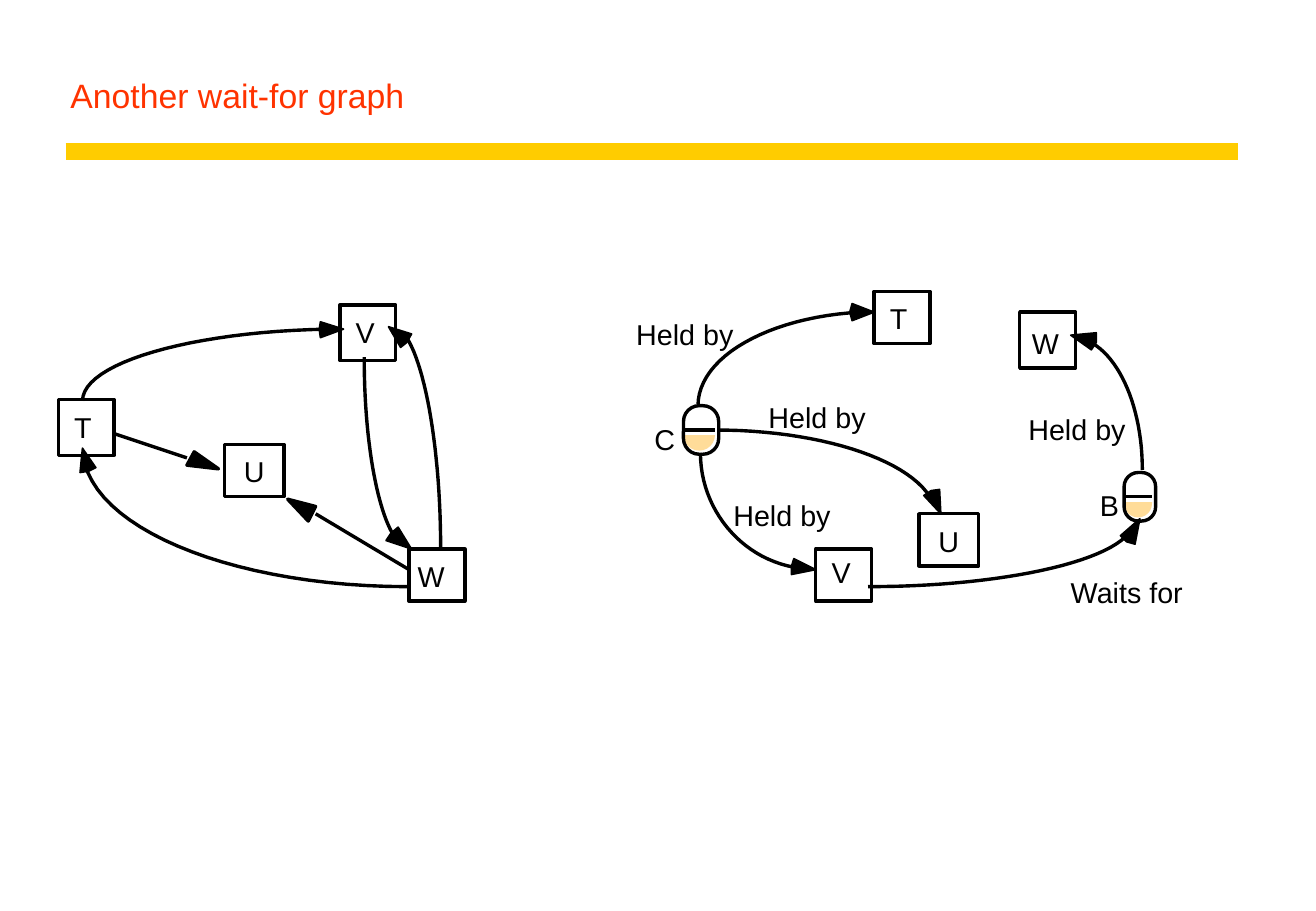
from dataclasses import dataclass

from lxml import etree
from pptx import Presentation
from pptx.dml.color import RGBColor
from pptx.enum.shapes import MSO_CONNECTOR, MSO_SHAPE
from pptx.enum.text import MSO_ANCHOR, MSO_AUTO_SIZE, PP_ALIGN
from pptx.oxml.ns import qn
from pptx.util import Inches, Pt

RECTANGLE = MSO_SHAPE.RECTANGLE
ROUNDED = MSO_SHAPE.ROUNDED_RECTANGLE
STRAIGHT = MSO_CONNECTOR.STRAIGHT
LEFT = PP_ALIGN.LEFT
TOP, BOTTOM = MSO_ANCHOR.TOP, MSO_ANCHOR.BOTTOM
GROW = MSO_AUTO_SIZE.SHAPE_TO_FIT_TEXT

COLOURS = {"ink": "000000", "paper": "FFFFFF", "title": "FF3300",
           "rule": "FFCC00", "resource": "FFDC99"}
FONT = "Arial"
LINE_WIDTH = 2
CURVE_STEPS = 24

Point = tuple[float, float]


@dataclass
class Node:
    left: float
    top: float
    width: float
    height: float


@dataclass
class Label:
    text: str
    left: float
    top: float
    width: float


@dataclass
class Resource:
    left: float
    top: float
    width: float


@dataclass
class Arrow:
    """A shaft of two end points or four Bezier points, and a head outline ending at its tip."""
    shaft: list[Point]
    head: list[Point]


NODES = [
    Node(0.48, 3.29, 0.46, 0.46), Node(1.85, 3.66, 0.49, 0.43),
    Node(2.8, 2.51, 0.46, 0.46), Node(3.37, 4.52, 0.46, 0.43),
    Node(7.2, 2.4, 0.46, 0.43), Node(7.57, 4.23, 0.49, 0.43),
    Node(6.72, 4.52, 0.46, 0.43), Node(8.4, 2.57, 0.46, 0.46),
]
LABELS = [
    Label("T", 0.61, 3.37, 0.15), Label("U", 2.01, 3.74, 0.17),
    Label("V", 2.93, 2.59, 0.16), Label("W", 3.44, 4.6, 0.22),
    Label("T", 7.33, 2.48, 0.15), Label("U", 7.73, 4.31, 0.17),
    Label("V", 6.85, 4.57, 0.16), Label("W", 8.5, 2.68, 0.22),
    Label("C", 5.39, 3.47, 0.17), Label("B", 9.06, 4.02, 0.16),
    Label("Held by", 5.24, 2.61, 0.82), Label("Held by", 6.33, 3.29, 0.82),
    Label("Held by", 6.04, 4.1, 0.82), Label("Held by", 8.47, 3.39, 0.82),
    Label("Waits for", 8.82, 4.73, 0.94),
]
RESOURCES = [Resource(5.63, 3.34, 0.29), Resource(9.26, 3.89, 0.26)]
ARROWS = [
    Arrow([(0.68, 3.3), (0.68, 2.99), (1.57, 2.73), (2.7, 2.71)],
          [(2.64, 2.78), (2.63, 2.71), (2.64, 2.65), (2.83, 2.71)]),
    Arrow([(3.36, 4.83), (2, 4.83), (0.86, 4.4), (0.7, 3.82)],
          [(0.79, 3.85), (0.73, 3.88), (0.66, 3.89), (0.68, 3.69)]),
    Arrow([(3.63, 4.52), (3.63, 3.73), (3.51, 3.03), (3.35, 2.78)],
          [(3.39, 2.75), (3.35, 2.82), (3.3, 2.86), (3.2, 2.69)]),
    Arrow([(3, 2.94), (3, 3.6), (3.1, 4.19), (3.25, 4.42)],
          [(3.18, 4.45), (3.22, 4.39), (3.28, 4.34), (3.39, 4.52)]),
    Arrow([(0.94, 3.57), (1.54, 3.77)],
          [(1.54, 3.83), (1.6, 3.72), (1.8, 3.86)]),
    Arrow([(3.37, 4.69), (2.6, 4.23)],
          [(2.54, 4.29), (2.6, 4.17), (2.37, 4.11)]),
    Arrow([(5.75, 3.34), (5.75, 2.94), (6.33, 2.61), (7.09, 2.57)],
          [(7.02, 2.64), (7, 2.57), (7.02, 2.5), (7.2, 2.57)]),
    Arrow([(5.89, 3.54), (6.73, 3.54), (7.46, 3.77), (7.66, 4.09)],
          [(7.61, 4.08), (7.67, 4.04), (7.74, 4.03), (7.75, 4.23)]),
    Arrow([(5.77, 3.73), (5.77, 4.19), (6.1, 4.59), (6.54, 4.67)],
          [(6.52, 4.73), (6.52, 4.66), (6.54, 4.6), (6.72, 4.69)]),
    Arrow([(9.41, 3.87), (9.41, 3.37), (9.23, 2.94), (8.97, 2.81)],
          [(9.03, 2.74), (9.03, 2.82), (8.99, 2.88), (8.82, 2.76)]),
    Arrow([(7.15, 4.83), (8.14, 4.83), (9.02, 4.66), (9.27, 4.42)],
          [(9.35, 4.48), (9.28, 4.46), (9.23, 4.41), (9.39, 4.27)]),
]


def colour(name: str) -> RGBColor:
    return RGBColor.from_string(COLOURS[name])


def apply_format(target, values: dict) -> None:
    for name, value in values.items():
        setattr(target, name, value)


def paint(shape, fill: str | None, line: str | None, width: float = LINE_WIDTH) -> None:
    shape.shadow.inherit = False
    if fill:
        shape.fill.solid()
        shape.fill.fore_color.rgb = colour(fill)
    else:
        shape.fill.background()
    if line:
        shape.line.color.rgb = colour(line)
        shape.line.width = Pt(width)
    else:
        shape.line.fill.background()


def add_block(page, kind, left: float, top: float, width: float, height: float,
              fill: str | None, line: str | None):
    block = page.shapes.add_shape(kind, Inches(left), Inches(top), Inches(width), Inches(height))
    paint(block, fill, line)
    return block


def add_line(page, start: Point, end: Point, line: str = "ink", width: float = LINE_WIDTH) -> None:
    connector = page.shapes.add_connector(STRAIGHT, *map(Inches, start + end))
    connector.line.color.rgb = colour(line)
    connector.line.width = Pt(width)
    etree.SubElement(connector._element.spPr, qn("a:effectLst"))


def add_outline(page, points: list[Point], close: bool):
    corners = [(Inches(x), Inches(y)) for x, y in points]
    builder = page.shapes.build_freeform(*corners[0])
    builder.add_line_segments(corners[1:], close=close)
    return builder.convert_to_shape()


def curve_points(controls: list[Point]) -> list[Point]:
    """Sample the cubic Bezier curve at equal parameter steps."""
    points = []
    for step in range(CURVE_STEPS + 1):
        t = step / CURVE_STEPS
        weights = ((1 - t) ** 3, 3 * t * (1 - t) ** 2, 3 * t ** 2 * (1 - t), t ** 3)
        x, y = (sum(w * p[axis] for w, p in zip(weights, controls)) for axis in (0, 1))
        points.append((x, y))
    return points


def add_arrow(page, arrow: Arrow) -> None:
    straight = len(arrow.shaft) == 2
    if straight:
        add_line(page, *arrow.shaft)
    else:
        paint(add_outline(page, curve_points(arrow.shaft), close=False), None, "ink")
    paint(add_outline(page, arrow.head, close=True), "ink", "ink", LINE_WIDTH if straight else 1)


def add_resource(page, resource: Resource) -> None:
    """Draw a capsule whose lower half is filled."""
    left, top, width = resource.left, resource.top, resource.width
    inner = width - 0.03
    add_block(page, ROUNDED, left, top, inner, 0.37, "resource", None).adjustments[0] = 0.5
    add_block(page, RECTANGLE, left, top, width, 0.23, "paper", "paper")
    add_block(page, ROUNDED, left, top, width, 0.4, None, "ink").adjustments[0] = 0.45
    add_line(page, (left, top + 0.2), (left + inner, top + 0.2))


def write(frame, text: str, size: float, text_colour: str) -> None:
    para = frame.paragraphs[0]
    para.alignment = LEFT
    span = para.add_run()
    span.text = text
    apply_format(span.font, {"name": FONT, "size": Pt(size)})
    span.font.color.rgb = colour(text_colour)


def add_label(page, label: Label) -> None:
    box = page.shapes.add_textbox(Inches(label.left), Inches(label.top),
                                  Inches(label.width), Inches(0.28))
    apply_format(box.text_frame, {
        "margin_left": 0, "margin_right": 0, "margin_top": 0, "margin_bottom": 0,
        "word_wrap": False, "auto_size": GROW, "vertical_anchor": TOP})
    write(box.text_frame, label.text, 17, "ink")


def main() -> None:
    deck = Presentation()
    apply_format(deck, {"slide_width": Inches(10.84), "slide_height": Inches(7.5)})
    page = deck.slides.add_slide(deck.slide_layouts[5])
    title = page.shapes.title
    apply_format(title, {"left": Inches(0.48), "top": Inches(0.25),
                         "width": Inches(9.72), "height": Inches(0.75)})
    title.text_frame.vertical_anchor = BOTTOM
    write(title.text_frame, "Another wait-for graph", 20, "title")
    add_line(page, (0.54, 1.25), (10.2, 1.25), "rule", 10)
    for node in NODES:
        add_block(page, RECTANGLE, node.left, node.top, node.width, node.height, "paper", "ink")
    for arrow in ARROWS:
        add_arrow(page, arrow)
    for resource in RESOURCES:
        add_resource(page, resource)
    for label in LABELS:
        add_label(page, label)
    deck.save("out.pptx")


if __name__ == "__main__":
    main()
